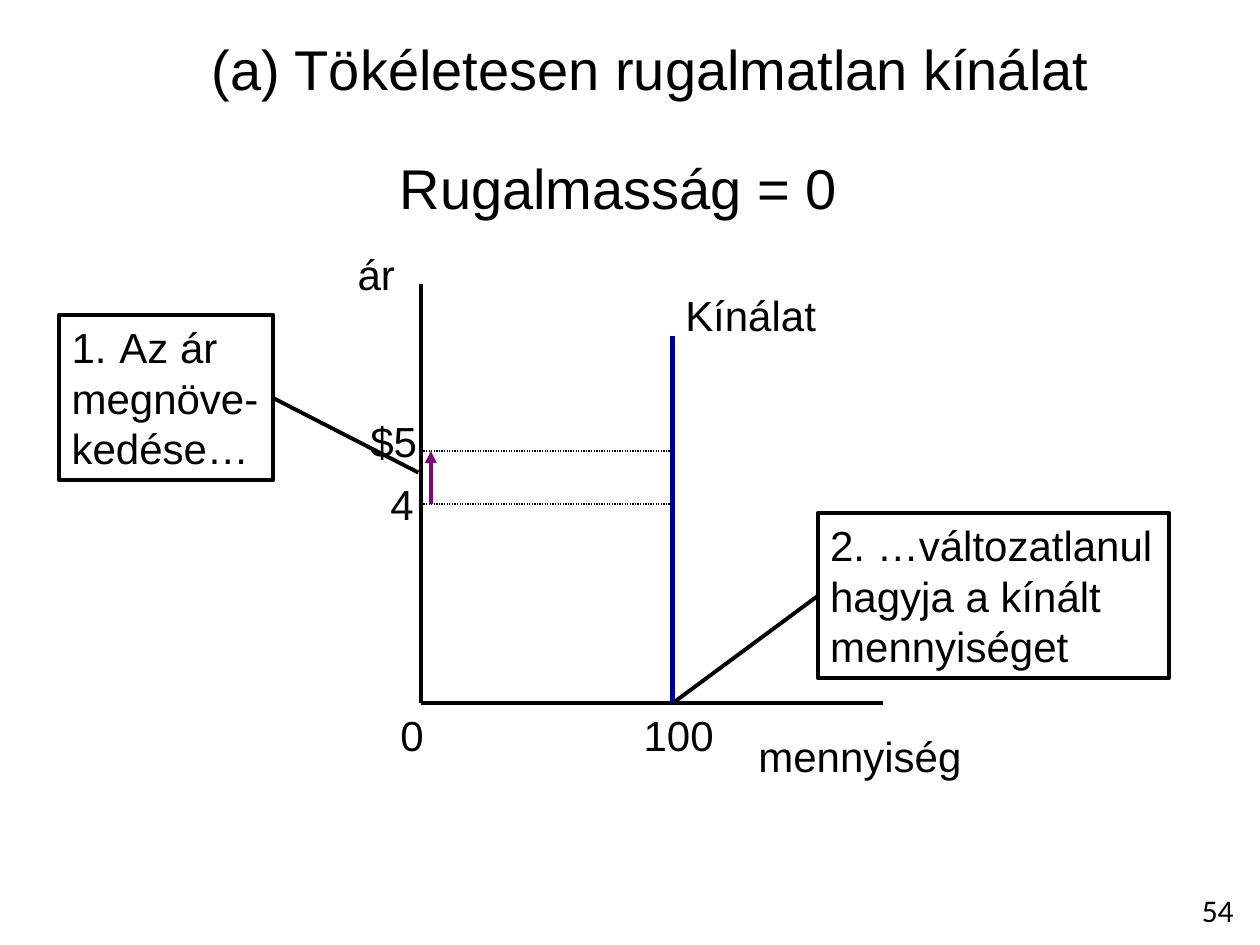
import pptx
import pptx.util
import pptx.dml.color
import pptx.enum.dml
import pptx.enum.shapes
import pptx.enum.text
import pptx.oxml.ns
from lxml import etree

Inch, Pt = pptx.util.Inches, pptx.util.Pt
ALIGN = pptx.enum.text.PP_ALIGN
RECT = pptx.enum.shapes.MSO_SHAPE.RECTANGLE
BLACK, WHITE, BLUE, PURPLE = "000000", "FFFFFF", "000099", "800080"

# Plot frame and the values marked on it, in inches
LEFT, TOP, WIDE, HIGH = 3.34, 2.25, 3.67, 3.33
RIGHT, BASE = LEFT + WIDE, TOP + HIGH
SUPPLY = LEFT + 2
PRICES = {"$5": 3.58, "4": 4.0}

TITLE = "(a) Tökéletesen rugalmatlan kínálat"
HEADS = [  # text, box, format
    ("Rugalmasság = 0", (3.06, 1.17, 3.7, 0.64), dict(size=32)),
    ("54", (9.33, 7.02, 0.67, 0.4), dict(size=18, face="Calibri")),
]
LABELS = [  # text, box
    ("ár", (2.74, 1.92, 0.59, 0.5)),
    ("mennyiség", (5.92, 5.75, 1.93, 0.5)),
    ("0", (3.08, BASE, 0.39, 0.5)),
    ("100", (5.01, BASE, 0.76, 0.5)),
    ("Kínálat", (SUPPLY, TOP, 1.25, 0.5)),
    ("$5", (2.84, 3.25, 0.58, 0.51)),
    ("4", (3, 3.75, 0.39, 0.51)),
]
LINES = [  # start, end, format
    ((LEFT, TOP), (LEFT, BASE), {}),
    ((LEFT, BASE), (RIGHT, BASE), {}),
    ((SUPPLY, BASE), (SUPPLY, 2.67), dict(color=BLUE, width=3)),
    *[((LEFT, y), (SUPPLY, y), dict(width=0.75, dots=True))
      for y in PRICES.values()],
    ((3.42, PRICES["4"]), (3.42, PRICES["$5"]),
     dict(color=PURPLE, arrow=True)),
]
NOTES = [  # text lines, numbered first line, box, leader start and end
    (["Az ár", "megnöve-", "kedése…"], True, (0.47, 2.5, 1.7, 1.31),
     (3.32, 3.75), (2.17, 3.16)),
    (["2. …változatlanul", "hagyja a kínált", "mennyiséget"], False,
     (6.49, 4.07, 2.79, 1.31), (SUPPLY, BASE), (6.49, 4.73)),
]


def paint(hue):
    return pptx.dml.color.RGBColor.from_string(hue)


def child(parent, tag, **attrs):
    return etree.SubElement(parent, pptx.oxml.ns.qn(tag), attrs)


def write(shape, lines, size=24, face="Arial", color=BLACK,
          align=ALIGN.LEFT, wrap=False, number=False, hang=0):
    """Fill a shape with one paragraph per line; number marks the first."""
    frame = shape.text_frame
    frame.word_wrap = wrap
    frame.text = "\n".join(lines)
    for i, para in enumerate(frame.paragraphs):
        para.alignment = align
        if hang:
            props = para._p.get_or_add_pPr()
            props.set("marL", str(Inch(hang)))
            props.set("indent", str(-Inch(hang)))
            if number and i == 0:
                child(props, "a:buFont", typeface="+mj-lt")
                child(props, "a:buAutoNum", type="arabicPeriod")
            else:
                child(props, "a:buNone")
        for run in para.runs:
            run.font.size = Pt(size)
            run.font.name = face
            run.font.color.rgb = paint(color)


def place(box):
    return [Inch(v) for v in box]


def label(slide, text, box, **form):
    write(slide.shapes.add_textbox(*place(box)), [text], **form)


def link(slide, start, end, color=BLACK, width=2.25, dots=False, arrow=False):
    line = slide.shapes.add_connector(
        pptx.enum.shapes.MSO_CONNECTOR.STRAIGHT, *place(start + end))
    line.line.color.rgb = paint(color)
    line.line.width = Pt(width)
    if dots:
        line.line.dash_style = pptx.enum.dml.MSO_LINE.ROUND_DOT
    if arrow:
        child(line.line._get_or_add_ln(), "a:tailEnd", type="triangle")
    child(line._element.spPr, "a:effectLst")


def panel(slide, box, line, fill=None):
    shape = slide.shapes.add_shape(RECT, *place(box))
    shape.shadow.inherit = False
    if fill:
        shape.fill.solid()
        shape.fill.fore_color.rgb = paint(fill)
    else:
        shape.fill.background()
    shape.line.color.rgb = paint(line)
    shape.line.width = Pt(2.25)
    return shape


def main():
    deck = pptx.Presentation()
    deck.slide_width, deck.slide_height = Inch(10), Inch(7.5)
    slide = deck.slides.add_slide(deck.slide_layouts[5])

    title = slide.shapes.title
    title.left, title.top, title.width, title.height = place(
        (0.33, 0.25, 9.67, 0.58))
    write(title, [TITLE], size=32, align=ALIGN.CENTER, wrap=True)
    for text, box, form in HEADS:
        label(slide, text, box, align=ALIGN.CENTER, wrap=True, **form)

    panel(slide, (LEFT, TOP, WIDE, HIGH), WHITE, WHITE)
    for start, end, form in LINES:
        link(slide, start, end, **form)
    for text, box in LABELS:
        label(slide, text, box)
    for lines, number, box, start, end in NOTES:
        write(panel(slide, box, BLACK), lines, number=number, hang=0.38)
        link(slide, start, end)

    deck.save("out.pptx")


if __name__ == "__main__":
    main()
